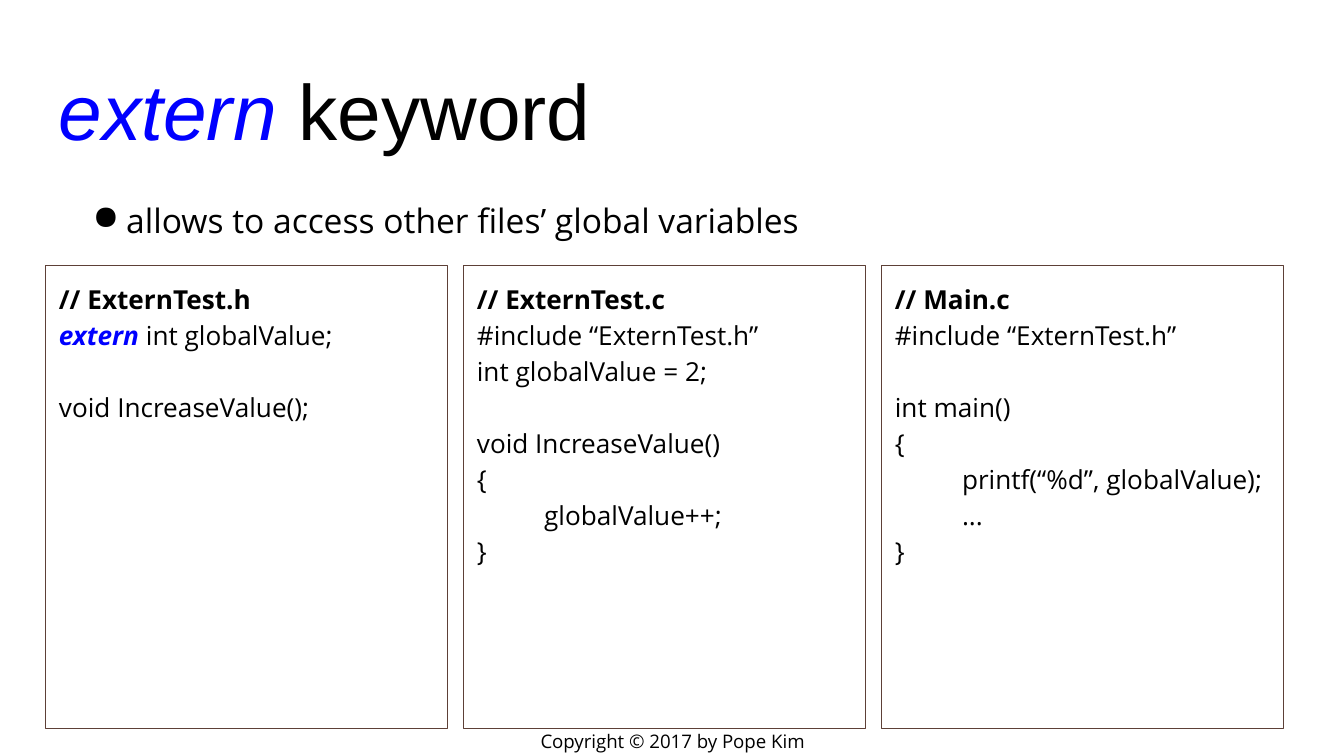
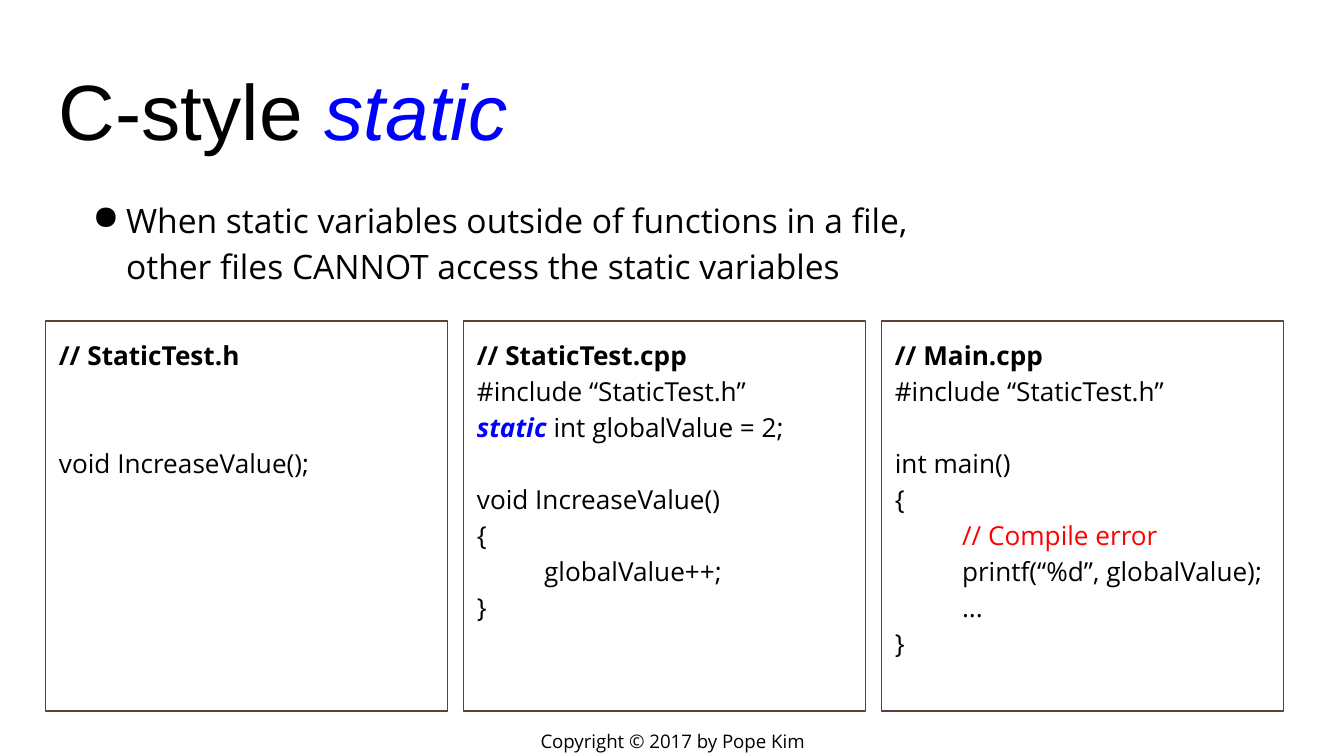
from copy import deepcopy

from lxml import etree
from pptx import Presentation
from pptx.dml.color import RGBColor
from pptx.enum.shapes import MSO_SHAPE
from pptx.enum.text import MSO_ANCHOR, PP_ALIGN
from pptx.oxml.ns import qn
from pptx.util import Pt

RECT = MSO_SHAPE.RECTANGLE
TOP, MIDDLE, BOTTOM = MSO_ANCHOR.TOP, MSO_ANCHOR.MIDDLE, MSO_ANCHOR.BOTTOM
LEFT, CENTER = PP_ALIGN.LEFT, PP_ALIGN.CENTER

BLACK, BLUE, RED, BROWN = "000000", "0000FF", "FF0000", "5D4037"
HEADING_FONT, BODY_FONT = "Arial", "Open Sans"
INSET = 7.2
MARGIN, CONTENT_W = 24.5, 671
PANEL_W, PANEL_GAP = 215.3, 8.6

PLAIN = {}
BOLD = {"bold": True}
KEYWORD = {"italic": True, "color": BLUE}
BOLD_KEYWORD = {**BOLD, **KEYWORD}
ERROR = {"color": RED}

SLIDES = [
    {
        "title": [("extern", KEYWORD), (" keyword", PLAIN)],
        "bullet": "allows to access other files’ global variables",
        "bullet_h": 39.6,
        "panel_top": 142.2,
        "panel_h": 248.2,
        "panels": [
            [("// ExternTest.h\n", BOLD), ("extern", BOLD_KEYWORD),
             (" int globalValue;\n\nvoid IncreaseValue();", PLAIN)],
            [("// ExternTest.c\n", BOLD),
             ("#include “ExternTest.h”\nint globalValue = 2;\n\n"
              "void IncreaseValue()\n{\n\tglobalValue++;\n}", PLAIN)],
            [("// Main.c\n", BOLD),
             ("#include “ExternTest.h”\n\nint main()\n{\n"
              "\tprintf(“%d”, globalValue);\n\t...\n}", PLAIN)],
        ],
    },
    {
        "title": [("C-style ", PLAIN), ("static", KEYWORD)],
        "bullet": "When static variables outside of functions in a file,\n"
                  "other files CANNOT access the static variables",
        "bullet_h": 54,
        "panel_top": 172.1,
        "panel_h": 208.8,
        "panels": [
            [("// StaticTest.h\n\n\n", BOLD), ("void IncreaseValue();", PLAIN)],
            [("// StaticTest.cpp\n", BOLD), ("#include “StaticTest.h”\n", PLAIN),
             ("static", BOLD_KEYWORD),
             (" int globalValue = 2;\n\nvoid IncreaseValue()\n{\n"
              "\tglobalValue++;\n}", PLAIN)],
            [("// Main.cpp\n", BOLD),
             ("#include “StaticTest.h”\n\nint main()\n{\n\t", PLAIN),
             ("// Compile error\n", ERROR),
             ("\tprintf(“%d”, globalValue);\n\t...\n}", PLAIN)],
        ],
    },
]


def rgb(value):
    """Turn a hex string into a colour."""
    return RGBColor.from_string(value)


def write(sp, runs, font, size, anchor=TOP, **paragraph):
    """Fill a shape with one paragraph of styled runs and return it."""
    tf = sp.text_frame
    frame = {"word_wrap": True, "vertical_anchor": anchor}
    frame.update({f"margin_{side}": Pt(INSET)
                  for side in ("left", "top", "right", "bottom")})
    for name, value in frame.items():
        setattr(tf, name, value)
    p = tf.paragraphs[0]
    for name, value in {"alignment": LEFT, **paragraph}.items():
        setattr(p, name, value)
    for text, style in runs:
        look = {"name": font, "size": Pt(size), "bold": False, "italic": False,
                "color": BLACK, **style}
        color = look.pop("color")
        for i, line in enumerate(text.split("\n")):
            if i:
                p.add_line_break()
            if line:
                r = p.add_run()
                r.text = line
                for name, value in look.items():
                    setattr(r.font, name, value)
                r.font.color.rgb = rgb(color)
    for br in p._p.findall(qn("a:br")):
        br.append(deepcopy(p.runs[0]._r.rPr))
    return p


def add_text(slide, box, runs, font, size, **layout):
    """Add a text box at the given box."""
    sp = slide.shapes.add_textbox(*map(Pt, box))
    return write(sp, runs, font, size, **layout)


def add_bullet(slide, box, text):
    """Add the bulleted statement under the title."""
    p = add_text(slide, box, [(text, PLAIN)], BODY_FONT, 18,
                 line_spacing=1.15, space_after=Pt(16))
    pPr = p._p.get_or_add_pPr()
    pPr.set("marL", str(Pt(36)))
    pPr.set("indent", str(-Pt(18)))
    color = etree.SubElement(pPr, qn("a:buClr"))
    etree.SubElement(color, qn("a:srgbClr")).set("val", BLACK)
    pPr.insert_element_before(color, "a:buChar")
    etree.SubElement(pPr, qn("a:buChar")).set("char", "●")


def add_panels(slide, box, panels):
    """Place outlined code panels side by side from the left of the box."""
    left, top, width, height = box
    for i, runs in enumerate(panels):
        x = left + i * (width + PANEL_GAP)
        sp = slide.shapes.add_shape(RECT, *map(Pt, (x, top, width, height)))
        sp.shadow.inherit = False
        sp.fill.background()
        sp.line.color.rgb = rgb(BROWN)
        sp.line.width = Pt(0.75)
        write(sp, runs, BODY_FONT, 14, line_spacing=1.15, space_after=Pt(16))


def add_code_slide(prs, content):
    """Build a slide with title, statement, code panels and footer."""
    slide = prs.slides.add_slide(prs.slide_layouts[6])
    add_text(slide, (271.4, 389.5, 177.8, 15.1),
             [("Copyright © 2017 by Pope Kim", PLAIN)], BODY_FONT, 10,
             anchor=MIDDLE, alignment=CENTER)
    add_text(slide, (MARGIN, 25.2, CONTENT_W, 65.5), content["title"],
             HEADING_FONT, 42, anchor=BOTTOM)
    add_bullet(slide, (MARGIN, 96.5, CONTENT_W, content["bullet_h"]),
               content["bullet"])
    add_panels(slide, (MARGIN, content["panel_top"], PANEL_W, content["panel_h"]),
               content["panels"])


def main():
    """Build and save the presentation."""
    prs = Presentation()
    prs.slide_width, prs.slide_height = Pt(720), Pt(405)
    for content in SLIDES:
        add_code_slide(prs, content)
    prs.save("out.pptx")


if __name__ == "__main__":
    main()
